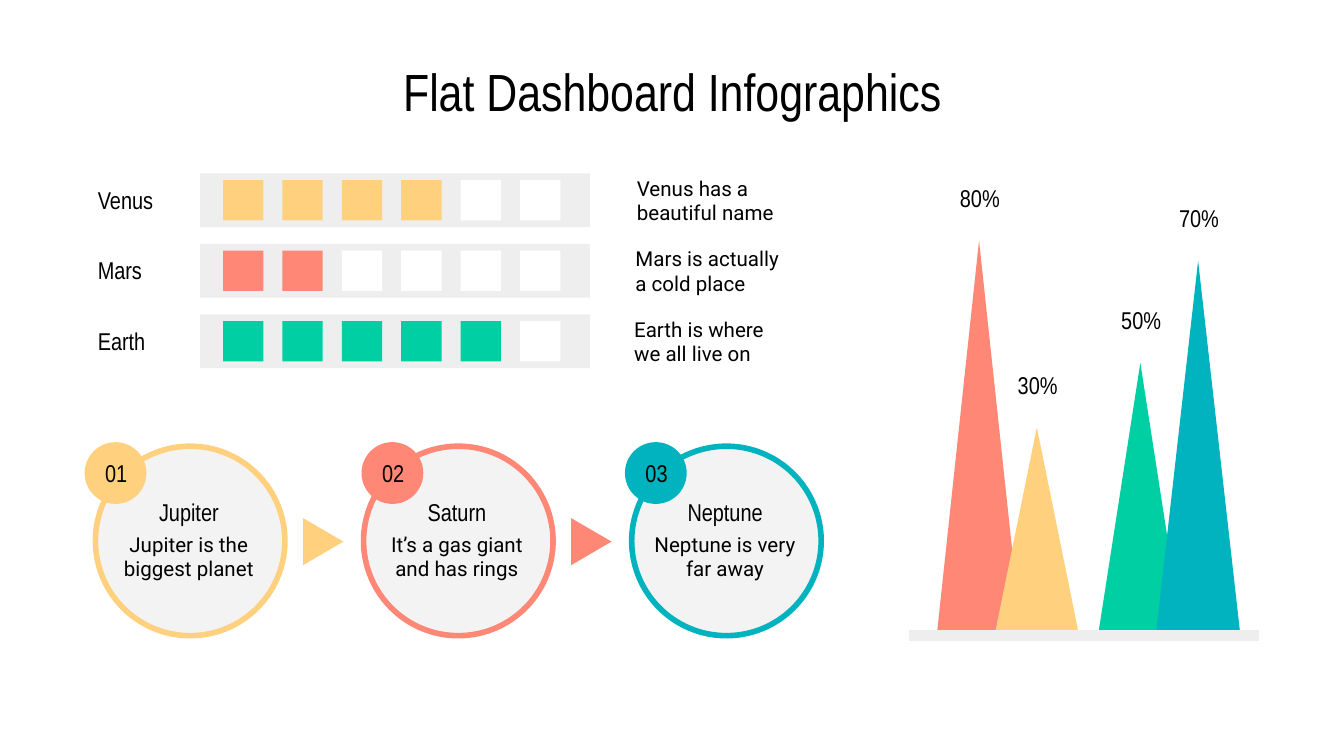
from pptx import Presentation
from pptx.dml.color import RGBColor
from pptx.enum.shapes import MSO_CONNECTOR, MSO_SHAPE
from pptx.enum.text import MSO_ANCHOR as Anchor, PP_ALIGN as Align
from pptx.oxml.ns import qn
from pptx.util import Inches, Pt
from lxml.etree import SubElement

THEME = {
    "yellow": "FFD07E", "coral": "FF8775", "green": "00CFA4", "teal": "00B3BE",
    "white": "FFFFFF", "black": "000000", "track": "EEEEEE", "disc": "F3F3F3",
    "title": ("Arial Narrow", 28), "label": ("Arial Narrow", 13), "body": ("Roboto", 11),
}
TITLE = "Flat Dashboard Infographics"
RATINGS = [
    ("Venus", "yellow", 4, "Venus has a beautiful name"),
    ("Mars", "coral", 2, "Mars is actually a cold place"),
    ("Earth", "green", 5, "Earth is where we all live on"),
]
STAGES = [
    ("01", "Jupiter", "Jupiter is the biggest planet", "yellow", 0.63),
    ("02", "Saturn", "It’s a gas giant and has rings", "coral", 2.69),
    ("03", "Neptune", "Neptune is very far away", "teal", 4.65),
]
PEAKS = [
    ("80%", "coral", 6.97, 2.94),
    ("30%", "yellow", 7.4, 1.55),
    ("50%", "green", 8.17, 2.03),
    ("70%", "teal", 8.6, 2.79),
]

WIDTH = 10
HEIGHT = WIDTH * 9 / 16
CELLS, CELL_SIZE, TRACK_HEIGHT = 6, 0.3, 0.4
STAGE_TOP, DISC_SIZE = 3.32, 1.41
BADGE_TOP, BADGE_SIZE = 3.29, 0.46
BASELINE, PEAK_WIDTH = 4.73, 0.63


def spread(first, last, count):
    return [first + (last - first) * index / (count - 1) for index in range(count)]


def color(name):
    return RGBColor.from_string(THEME[name])


def add_shape(shapes, kind, box, fill, line=None):
    shape = shapes.add_shape(kind, *map(Inches, box))
    shape.shadow.inherit = False
    shape.fill.solid()
    shape.fill.fore_color.rgb = color(fill)
    if line:
        shape.line.color.rgb = color(line)
        shape.line.width = Pt(3)
    else:
        shape.line.fill.background()
    return shape


def write(text_frame, text, style, align, anchor):
    text_frame.text = text
    text_frame.word_wrap = True
    text_frame.vertical_anchor = anchor
    text_frame.margin_left = text_frame.margin_right = Inches(0.1)
    text_frame.margin_top = text_frame.margin_bottom = Inches(0.1)
    paragraph = text_frame.paragraphs[0]
    paragraph.alignment = align
    font = paragraph.runs[0].font
    font.name, size = THEME[style]
    font.size = Pt(size)
    font.color.rgb = color("black")


def add_text(shapes, box, text, style, align=Align.CENTER):
    textbox = shapes.add_textbox(*map(Inches, box))
    write(textbox.text_frame, text, style, align, Anchor.MIDDLE)


def add_title(slide):
    title = slide.shapes.title
    title.left, title.top, title.width, title.height = map(Inches, (0.45, 0.34, 9.1, 0.63))
    write(title.text_frame, TITLE, "title", Align.CENTER, Anchor.TOP)


def add_ratings(slide):
    tops = spread(1.29, 2.34, len(RATINGS))
    fact_lefts = spread(4.64, 4.62, len(RATINGS))
    for (name, fill, score, fact), top, fact_left in zip(RATINGS, tops, fact_lefts):
        shapes = slide.shapes.add_group_shape().shapes
        add_shape(shapes, MSO_SHAPE.RECTANGLE, (1.49, top, 2.9, TRACK_HEIGHT), "track")
        cell_top = top + (TRACK_HEIGHT - CELL_SIZE) / 2
        for cell, left in enumerate(spread(1.66, 3.87, CELLS)):
            add_shape(shapes, MSO_SHAPE.RECTANGLE, (left, cell_top, CELL_SIZE, CELL_SIZE),
                      fill if cell < score else "white")
        add_text(shapes, (fact_left, top - 0.04, 1.33, 0.48), fact, "body", Align.LEFT)
        add_text(shapes, (0.63, top + 0.06, 0.73, 0.27), name, "label", Align.LEFT)


def add_stages(slide):
    lefts = spread(0.71, 4.7, len(STAGES))
    for (number, name, fact, fill, badge_left), left in zip(STAGES, lefts):
        shapes = slide.shapes.add_group_shape().shapes
        add_shape(shapes, MSO_SHAPE.OVAL, (left, STAGE_TOP, DISC_SIZE, DISC_SIZE), "disc", fill)
        if left < lefts[-1]:
            arrow = add_shape(shapes, MSO_SHAPE.ISOSCELES_TRIANGLE,
                              (left + 1.52, 3.88, 0.35, 0.3), fill)
            arrow.rotation = 90
        add_shape(shapes, MSO_SHAPE.OVAL, (badge_left, BADGE_TOP, BADGE_SIZE, BADGE_SIZE), fill)
        add_text(shapes, (left + 0.03, 3.9, 1.33, 0.48), fact, "body")
        add_text(shapes, (left + 0.03, 3.67, 1.33, 0.27), name, "label")
        add_text(shapes, (badge_left + 0.02, 3.38, 0.43, 0.27), number, "label")


def add_peaks(slide):
    shapes = slide.shapes
    for label, fill, left, height in PEAKS:
        top = BASELINE - height
        add_shape(shapes, MSO_SHAPE.ISOSCELES_TRIANGLE, (left, top, PEAK_WIDTH, height), fill)
        add_text(shapes, (left + 0.06, top - 0.56, 0.52, 0.48), label, "label")
    ends = map(Inches, (6.76, BASELINE, 9.37, BASELINE))
    ground = shapes.add_connector(MSO_CONNECTOR.STRAIGHT, *ends)
    ground.line.color.rgb = color("track")
    ground.line.width = Pt(6)
    SubElement(ground._element.spPr, qn("a:effectLst"))


def main():
    presentation = Presentation()
    presentation.slide_width, presentation.slide_height = Inches(WIDTH), Inches(HEIGHT)
    slide = presentation.slides.add_slide(presentation.slide_layouts[5])
    add_title(slide)
    add_stages(slide)
    add_ratings(slide)
    add_peaks(slide)
    presentation.save("out.pptx")


if __name__ == "__main__":
    main()
